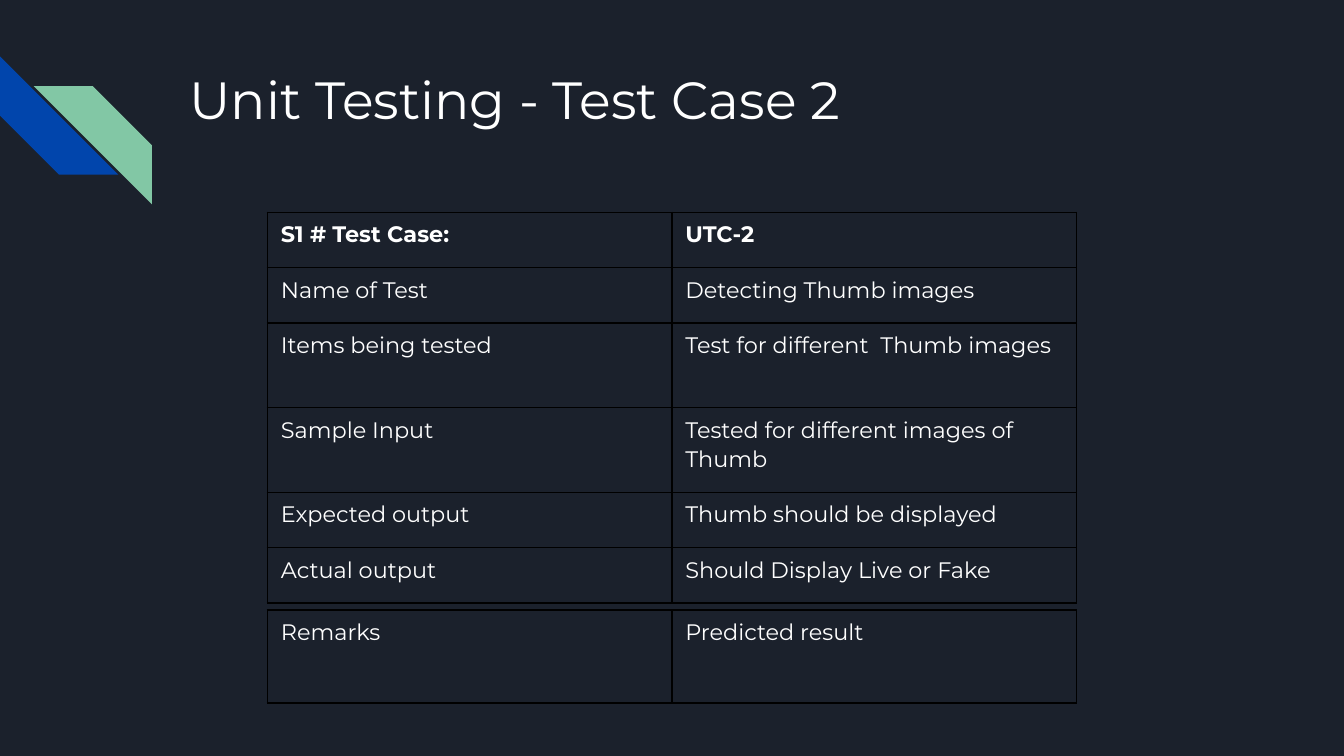
from lxml import etree
from pptx import Presentation
from pptx.dml.color import RGBColor
from pptx.enum.shapes import MSO_SHAPE
from pptx.enum.text import MSO_ANCHOR, PP_ALIGN
from pptx.oxml.ns import qn
from pptx.util import Inches, Pt

STRIPE = MSO_SHAPE.DIAGONAL_STRIPE
TOP, LEFT = MSO_ANCHOR.TOP, PP_ALIGN.LEFT
TITLE_ONLY = 5
COLS, ROWS = 100, 56.25  # square grid cells, a tenth of an inch each

HUES = {"night": "1B212C", "blue": "0145AC", "mint": "82C7A5",
        "text": "FFFFFF", "rule": "000000"}
FACE = "Montserrat"

SHORT, TALL = 4.12, 6.3
CASE = [
    ("S1 # Test Case:", "UTC-2", SHORT),
    ("Name of Test", "Detecting Thumb images", SHORT),
    ("Items being tested", "Test for different  Thumb images", TALL),
    ("Sample Input", "Tested for different images of Thumb", TALL),
    ("Expected output", "Thumb should be displayed", SHORT),
    ("Actual output", "Should Display Live or Fake", SHORT),
]
REMARKS = [("Remarks", "Predicted result", 6.9)]


def hue(name):
    return RGBColor.from_string(HUES[name])


def grid(*cells):
    """Turn counts of grid cells into lengths."""
    return [Inches(n / 10) for n in cells]


def apply(item, values):
    for key, value in values.items():
        setattr(item, key, value)


class Deck:
    def __init__(self):
        self.prs = Presentation()
        self.prs.slide_width, self.prs.slide_height = grid(COLS, ROWS)
        self.slide = self.prs.slides.add_slide(
            self.prs.slide_layouts[TITLE_ONLY])
        fill = self.slide.background.fill
        fill.solid()
        fill.fore_color.rgb = hue("night")

    def label(self, frame, text, size, bold=False, space=1.0):
        frame.text = text
        para = frame.paragraphs[0]
        apply(para, {"alignment": LEFT, "line_spacing": space})
        font = para.runs[0].font
        apply(font, {"name": FACE, "size": Pt(size), "bold": bold})
        font.color.rgb = hue("text")

    def title(self, text, *box):
        shape = self.slide.shapes.title
        apply(shape, dict(zip(("left", "top", "width", "height"),
                              grid(*box))))
        frame = shape.text_frame
        apply(frame, {"vertical_anchor": TOP, "word_wrap": True})
        for side in ("left", "right", "top", "bottom"):
            setattr(frame, f"margin_{side}", Inches(0.1))
        self.label(frame, text, 28)

    def stripe(self, left, top, size, turn, color):
        shape = self.slide.shapes.add_shape(
            STRIPE, *grid(left, top, size, size))
        shape.rotation = turn
        shape.shadow.inherit = False
        shape.fill.solid()
        shape.fill.fore_color.rgb = hue(color)
        shape.line.fill.background()

    def border(self, cell):
        props = cell._tc.get_or_add_tcPr()
        for at, side in enumerate(("lnL", "lnR", "lnT", "lnB")):
            line = etree.Element(qn(f"a:{side}"), w=str(Pt(1)))
            fill = etree.SubElement(line, qn("a:solidFill"))
            etree.SubElement(fill, qn("a:srgbClr"), val=HUES["rule"])
            props.insert(at, line)

    def table(self, rows, left, top, width, head=False):
        """Draw name and value rows; head makes the first row bold."""
        high = sum(row[-1] for row in rows)
        table = self.slide.shapes.add_table(
            len(rows), 2, *grid(left, top, width, high)).table
        apply(table, {"first_row": False, "horz_banding": False})
        for r, (name, value, tall) in enumerate(rows):
            table.rows[r].height = grid(tall)[0]
            for c, text in enumerate((name, value)):
                cell = table.cell(r, c)
                cell.fill.background()
                self.label(cell.text_frame, text, 12,
                           bold=head and r == 0, space=1.08)
                self.border(cell)

    def save(self):
        self.prs.save("out.pptx")


def main():
    deck = Deck()
    deck.stripe(0, 4.2, 8.8, 270, "blue")
    deck.stripe(2.5, 6.4, 8.8, 90, "mint")
    deck.title("Unit Testing - Test Case 2", 13.1, 4, 77, 10)
    deck.table(CASE, 19.9, 15.8, 60.2, head=True)
    deck.table(REMARKS, 19.9, 45.4, 60.2)
    deck.save()


if __name__ == "__main__":
    main()
